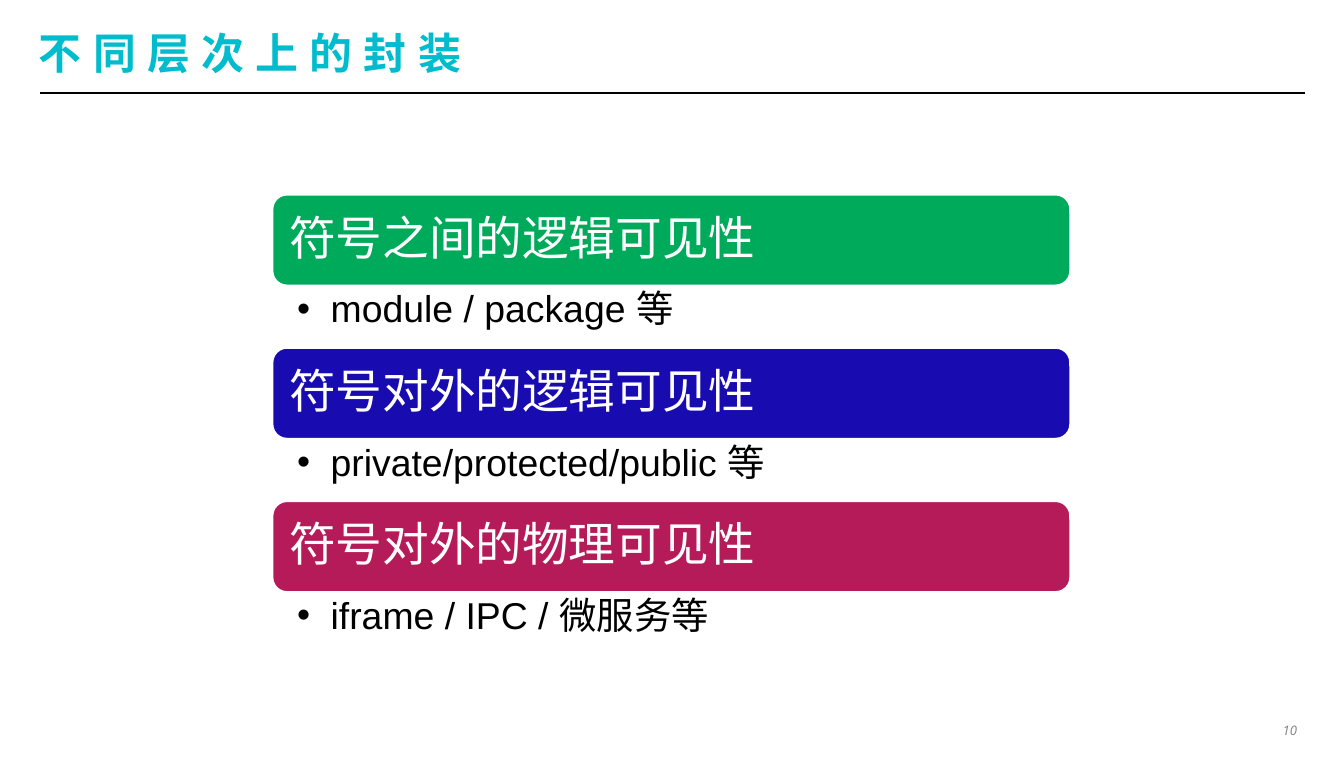
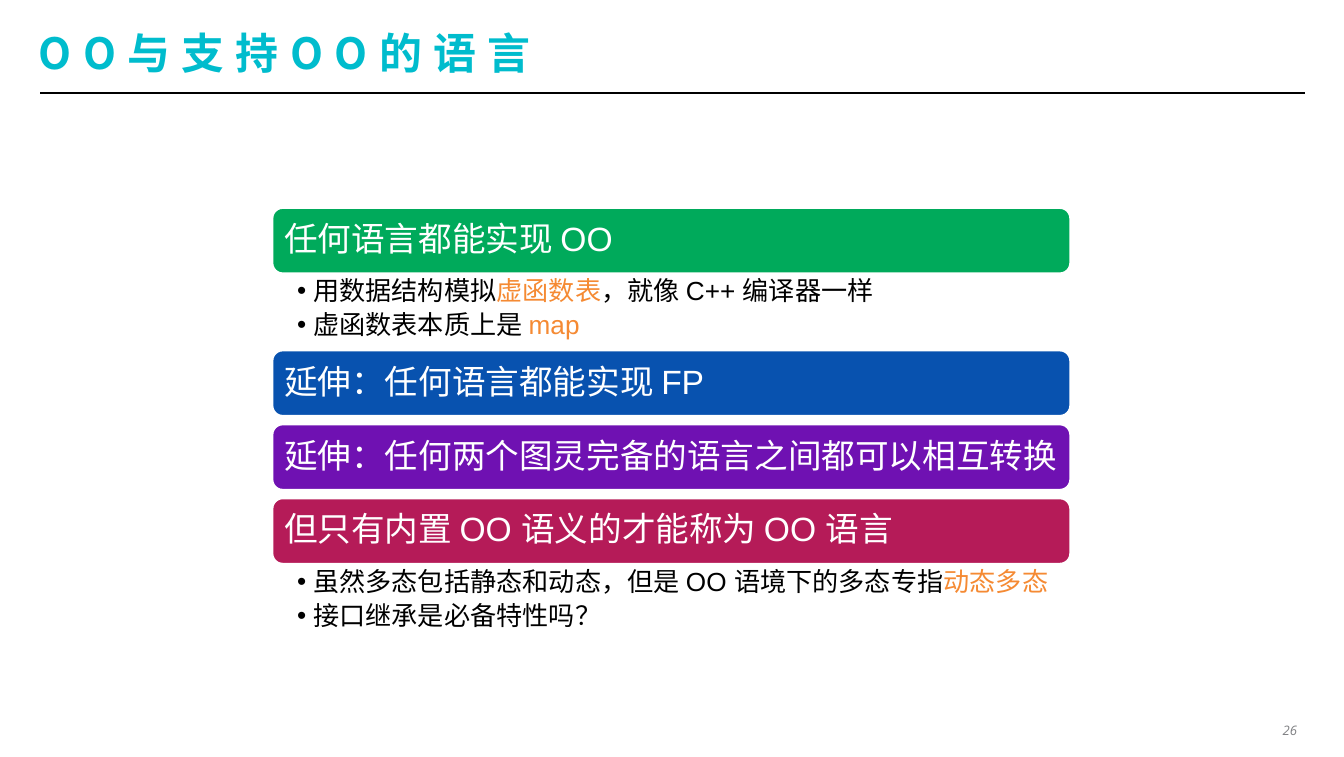
from dataclasses import dataclass
from typing import NamedTuple

from lxml.etree import SubElement
from pptx import Presentation
from pptx.dml.color import RGBColor
from pptx.enum.lang import MSO_LANGUAGE_ID as Language
from pptx.enum.shapes import MSO_CONNECTOR as Connector, MSO_SHAPE as Shape
from pptx.enum.text import MSO_ANCHOR as Anchor, PP_ALIGN as Align
from pptx.oxml.ns import qn
from pptx.util import Inches, Pt


@dataclass(frozen=True)
class Theme:
    title: str = "00BCCD"
    rule: str = "000000"
    body: str = "000000"
    accent: str = "F58A33"
    inverse: str = "FFFFFF"
    page: str = "808184"
    green: str = "00AA5B"
    indigo: str = "180CB1"
    blue: str = "0852AF"
    purple: str = "6F11B2"
    crimson: str = "B51B58"
    title_font: str = "Noto Sans CJK JP"
    body_font: str = "Arial"
    page_font: str = "Open Sans"
    title_size: int = 23
    page_size: int = 7
    title_spacing: int = 6


THEME = Theme()


class Run(NamedTuple):
    text: str
    color: str = THEME.body


class Section(NamedTuple):
    heading: str
    fill: str
    details: tuple[tuple[Run, ...], ...] = ()


@dataclass(frozen=True)
class ListStyle:
    """Measures of a section list; lengths in inches, type sizes in points."""
    top: float
    bar_height: float
    detail_height: float
    heading_size: int
    detail_size: int
    bar_inset: float
    detail_right_inset: float
    hanging: float
    space_after: int
    gap: float = 0.05
    left: float = 2.02
    width: float = 5.95


class ListSlide(NamedTuple):
    title: str
    page: int
    style: ListStyle
    sections: tuple[Section, ...]


LARGE_LIST = ListStyle(1.44, 0.69, 0.45, 25, 20, 0.1, 0.19, 0.25, 4)
SMALL_LIST = ListStyle(1.54, 0.5, 0.56, 18, 14, 0.07, 0.14, 0.12, 3)

SLIDES = (
    ListSlide("不同层次上的封装", 10, LARGE_LIST, (
        Section("符号之间的逻辑可见性", THEME.green,
                ((Run("module / package 等"),),)),
        Section("符号对外的逻辑可见性", THEME.indigo,
                ((Run("private/protected/public 等"),),)),
        Section("符号对外的物理可见性", THEME.crimson,
                ((Run("iframe / IPC / 微服务等"),),)),
    )),
    ListSlide("OO与支持OO的语言", 26, SMALL_LIST, (
        Section("任何语言都能实现 OO", THEME.green, (
            (Run("用数据结构模拟"), Run("虚函数表", THEME.accent),
             Run("，就像 C++ 编译器一样")),
            (Run("虚函数表本质上是 "), Run("map", THEME.accent)),
        )),
        Section("延伸：任何语言都能实现 FP", THEME.blue),
        Section("延伸：任何两个图灵完备的语言之间都可以相互转换", THEME.purple),
        Section("但只有内置 OO 语义的才能称为 OO 语言", THEME.crimson, (
            (Run("虽然多态包括静态和动态，但是 OO 语境下的多态专指"),
             Run("动态多态", THEME.accent)),
            (Run("接口继承是必备特性吗？"),),
        )),
    )),
)


def rgb(color: str) -> RGBColor:
    return RGBColor.from_string(color)


def apply_format(target, values: dict) -> None:
    for name, value in values.items():
        setattr(target, name, value)


def set_frame(frame, insets: tuple[float, ...], **values) -> None:
    """Set the insets (left, top, right, bottom) and other frame values."""
    names = ("margin_left", "margin_top", "margin_right", "margin_bottom")
    apply_format(frame, dict(zip(names, map(Inches, insets))))
    apply_format(frame, {"word_wrap": True} | values)


def add_run(paragraph, text: str, size: int, color: str,
            font_name: str = THEME.body_font, **values):
    run = paragraph.add_run()
    run.text = text
    apply_format(run.font, {
        "name": font_name, "size": Pt(size),
        "language_id": Language.SIMPLIFIED_CHINESE,
    } | values)
    run.font.color.rgb = rgb(color)
    SubElement(run.font._element, qn("a:ea"), typeface=THEME.title_font)
    return run


def add_bullet(paragraph, hanging: float) -> None:
    properties = paragraph._p.get_or_add_pPr()
    properties.set("marL", str(Inches(hanging)))
    properties.set("indent", str(-Inches(hanging)))
    SubElement(properties, qn("a:buFont"), typeface=THEME.body_font)
    SubElement(properties, qn("a:buChar"), char="•")


def add_text_box(slide, left: float, top: float, width: float, height: float):
    return slide.shapes.add_textbox(*map(Inches, (left, top, width, height))).text_frame


def add_title(slide, title: str) -> None:
    rule = slide.shapes.add_connector(
        Connector.STRAIGHT, *map(Inches, (0.3, 0.69, 9.71, 0.69)))
    rule.line.color.rgb = rgb(THEME.rule)
    rule.line.width = Pt(1)
    SubElement(rule._element.spPr, qn("a:effectLst"))

    frame = add_text_box(slide, 0.29, 0.18, 9.41, 0.42)
    set_frame(frame, (0, 0, 0, 0), vertical_anchor=Anchor.MIDDLE)
    run = add_run(frame.paragraphs[0], title, THEME.title_size, THEME.title,
                  THEME.title_font, bold=True)
    run.font._element.set("spc", str(THEME.title_spacing * 100))


def add_page_number(slide, page: int) -> None:
    frame = add_text_box(slide, 9.5, 5.34, 0.21, 0.17)
    set_frame(frame, (0, 0.03, 0.06, 0.03), word_wrap=False)
    paragraph = frame.paragraphs[0]
    paragraph.alignment = Align.RIGHT
    add_run(paragraph, str(page), THEME.page_size, THEME.page,
            THEME.page_font, italic=True)


def add_bar(slide, section: Section, style: ListStyle, top: float) -> None:
    bar = slide.shapes.add_shape(Shape.ROUNDED_RECTANGLE, *map(
        Inches, (style.left, top, style.width, style.bar_height)))
    bar.shadow.inherit = False
    bar.fill.solid()
    bar.fill.fore_color.rgb = rgb(section.fill)
    bar.line.color.rgb = rgb(THEME.inverse)
    bar.line.width = Pt(2)
    set_frame(bar.text_frame, (style.bar_inset,) * 4, vertical_anchor=Anchor.MIDDLE)
    paragraph = bar.text_frame.paragraphs[0]
    apply_format(paragraph, {"alignment": Align.LEFT, "line_spacing": 0.9})
    add_run(paragraph, section.heading, style.heading_size, THEME.inverse)


def add_details(slide, section: Section, style: ListStyle, top: float) -> None:
    frame = add_text_box(slide, style.left, top, style.width, style.detail_height)
    set_frame(frame, (0.19, 0.03, style.detail_right_inset, 0.03))
    for index, runs in enumerate(section.details):
        paragraph = frame.add_paragraph() if index else frame.paragraphs[0]
        add_bullet(paragraph, style.hanging)
        apply_format(paragraph, {"line_spacing": 0.9,
                                 "space_after": Pt(style.space_after)})
        for run in runs:
            add_run(paragraph, run.text, style.detail_size, run.color)


def add_sections(slide, sections: tuple[Section, ...], style: ListStyle) -> None:
    """Stack the bars; details fill the space below a bar, else a small gap."""
    top = style.top
    for section in sections:
        add_bar(slide, section, style, top)
        top += style.bar_height
        if section.details:
            add_details(slide, section, style, top)
            top += style.detail_height
        else:
            top += style.gap


def main() -> None:
    presentation = Presentation()
    presentation.slide_width = Inches(10)
    presentation.slide_height = Inches(5.63)
    for content in SLIDES:
        slide = presentation.slides.add_slide(presentation.slide_layouts[6])
        add_title(slide, content.title)
        add_page_number(slide, content.page)
        add_sections(slide, content.sections, content.style)
    presentation.save("out.pptx")


if __name__ == "__main__":
    main()
